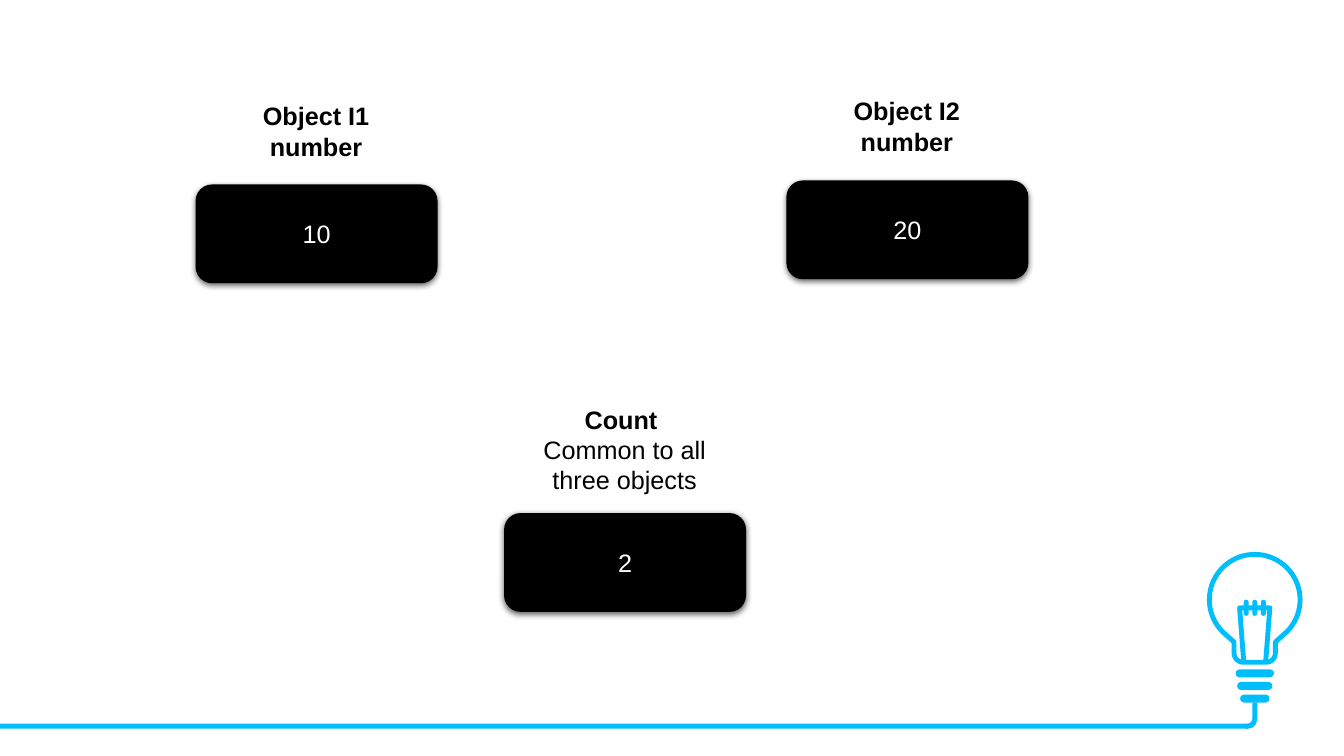
"""Build a slide of two objects with their own numbers and a shared count."""
from dataclasses import dataclass
from math import cos, radians, sin

from lxml import etree
from pptx import Presentation
from pptx.dml.color import RGBColor
from pptx.enum import shapes, text
from pptx.oxml import ns
from pptx.util import Inches, Pt


@dataclass(frozen=True)
class Theme:
    """Colours, font and type size of the slide."""
    accent: RGBColor = RGBColor(0x00, 0xBD, 0xFB)
    ink: RGBColor = RGBColor(0x00, 0x00, 0x00)
    paper: RGBColor = RGBColor(0xFF, 0xFF, 0xFF)
    font: str = "Arial"
    size: Pt = Pt(18)


THEME = Theme()
PRESET = shapes.MSO_SHAPE
BULB_X = 12.445


def add_solid(slide, preset, left, top, width, height, fill, adjustments=()):
    """Add a borderless preset shape in one colour."""
    solid = slide.shapes.add_shape(
        preset, Inches(left), Inches(top), Inches(width), Inches(height))
    solid.shadow.inherit = False
    solid.fill.solid()
    solid.fill.fore_color.rgb = fill
    solid.line.fill.background()
    for index, value in enumerate(adjustments):
        solid.adjustments[index] = value
    return solid


def add_outline(slide, points, closed):
    """Add an accent outline with round ends through points in inches."""
    start, *rest = [(Inches(x), Inches(y)) for x, y in points]
    builder = slide.shapes.build_freeform(*start)
    builder.add_line_segments(rest, close=closed)
    outline = builder.convert_to_shape()
    outline.shadow.inherit = False
    outline.fill.background()
    outline.line.color.rgb = THEME.accent
    outline.line.width = Pt(3.5)
    outline.element.spPr.find(ns.qn("a:ln")).set("cap", "rnd")


def arc(x, y, radius, start, end, step=5):
    """Return points along an arc, with angles in degrees clockwise from the right."""
    return [(x + radius * cos(radians(angle)), y + radius * sin(radians(angle)))
            for angle in range(start, end + 1, step)]


def add_bulb(slide):
    """Draw the light bulb and the cable along the bottom edge."""
    neck = 0.205
    glass = arc(BULB_X, 5.95, 0.45, 135, 405)
    socket = ([(BULB_X + neck, 6.37)]
              + arc(BULB_X + neck - 0.09, 6.48, 0.09, 0, 90, 15)
              + arc(BULB_X - neck + 0.09, 6.48, 0.09, 90, 180, 15)
              + [(BULB_X - neck, 6.37)])
    add_outline(slide, glass + socket, True)
    filament = [(-0.11, 6.55), (-0.15, 6.03), (0.15, 6.03), (0.11, 6.55)]
    add_outline(slide, [(BULB_X + dx, y) for dx, y in filament], False)
    for offset in (-0.085, 0, 0.085):
        add_solid(slide, PRESET.ROUNDED_RECTANGLE, BULB_X + offset - 0.025, 5.95,
                  0.05, 0.16, THEME.accent, [0.5])
    for row, width in enumerate((0.38, 0.35, 0.29)):
        add_solid(slide, PRESET.ROUNDED_RECTANGLE, BULB_X - width / 2,
                  6.64 + row * 0.125, width, 0.08, THEME.accent, [0.5])
    add_solid(slide, PRESET.RECTANGLE, 0, 7.18, 12.37, 0.05, THEME.accent)
    add_solid(slide, PRESET.RECTANGLE, 12.42, 6.97, 0.05, 0.17, THEME.accent)
    add_solid(slide, PRESET.BLOCK_ARC, 12.28, 7.04, 0.19, 0.19, THEME.accent,
              [213.394, 60.915, 0.271])


def write(frame, lines, color):
    """Fill a text frame with centred paragraphs of (words, bold)."""
    frame.word_wrap = True
    for index, (words, bold) in enumerate(lines):
        paragraph = frame.add_paragraph() if index else frame.paragraphs[0]
        paragraph.text = words
        paragraph.alignment = text.PP_ALIGN.CENTER
        font = paragraph.font
        font.name, font.size, font.bold = THEME.font, THEME.size, bold
        font.color.rgb = color


def add_drop_shadow(card):
    """Give a card a soft shadow below it."""
    effects = card.element.spPr.find(ns.qn("a:effectLst"))
    shadow = etree.SubElement(
        effects, ns.qn("a:outerShdw"), blurRad=str(Pt(4.5)), dist=str(Pt(1.5)),
        dir="5400000", algn="ctr", rotWithShape="0")
    color = etree.SubElement(shadow, ns.qn("a:srgbClr"), val=str(THEME.ink))
    etree.SubElement(color, ns.qn("a:alpha"), val="63000")


def add_variable(slide, left, top, label_top, label_height, label_lines, value):
    """Add a value card with its label above."""
    card = add_solid(slide, PRESET.ROUNDED_RECTANGLE, left, top, 2.4, 0.98, THEME.ink)
    add_drop_shadow(card)
    card.text_frame.vertical_anchor = text.MSO_ANCHOR.MIDDLE
    write(card.text_frame, [(value, False)], THEME.paper)
    label = slide.shapes.add_textbox(
        Inches(left + 0.08), Inches(label_top), Inches(2.23), Inches(label_height))
    write(label.text_frame, label_lines, THEME.ink)
    label.text_frame.auto_size = text.MSO_AUTO_SIZE.SHAPE_TO_FIT_TEXT


def main():
    """Build and save the slide."""
    deck = Presentation()
    deck.slide_width, deck.slide_height = Inches(13.33), Inches(7.5)
    slide = deck.slides.add_slide(deck.slide_layouts[6])
    add_bulb(slide)
    add_variable(slide, 1.94, 1.83, 0.95, 0.71,
                 [("Object I1", True), ("number", True)], "10")
    add_variable(slide, 7.8, 1.79, 0.9, 0.71,
                 [("Object I2", True), ("number", True)], "20")
    add_variable(slide, 5, 5.09, 3.96, 1.01,
                 [("Count ", True), ("Common to all three objects", False)], "2")
    deck.save("out.pptx")


if __name__ == "__main__":
    main()
